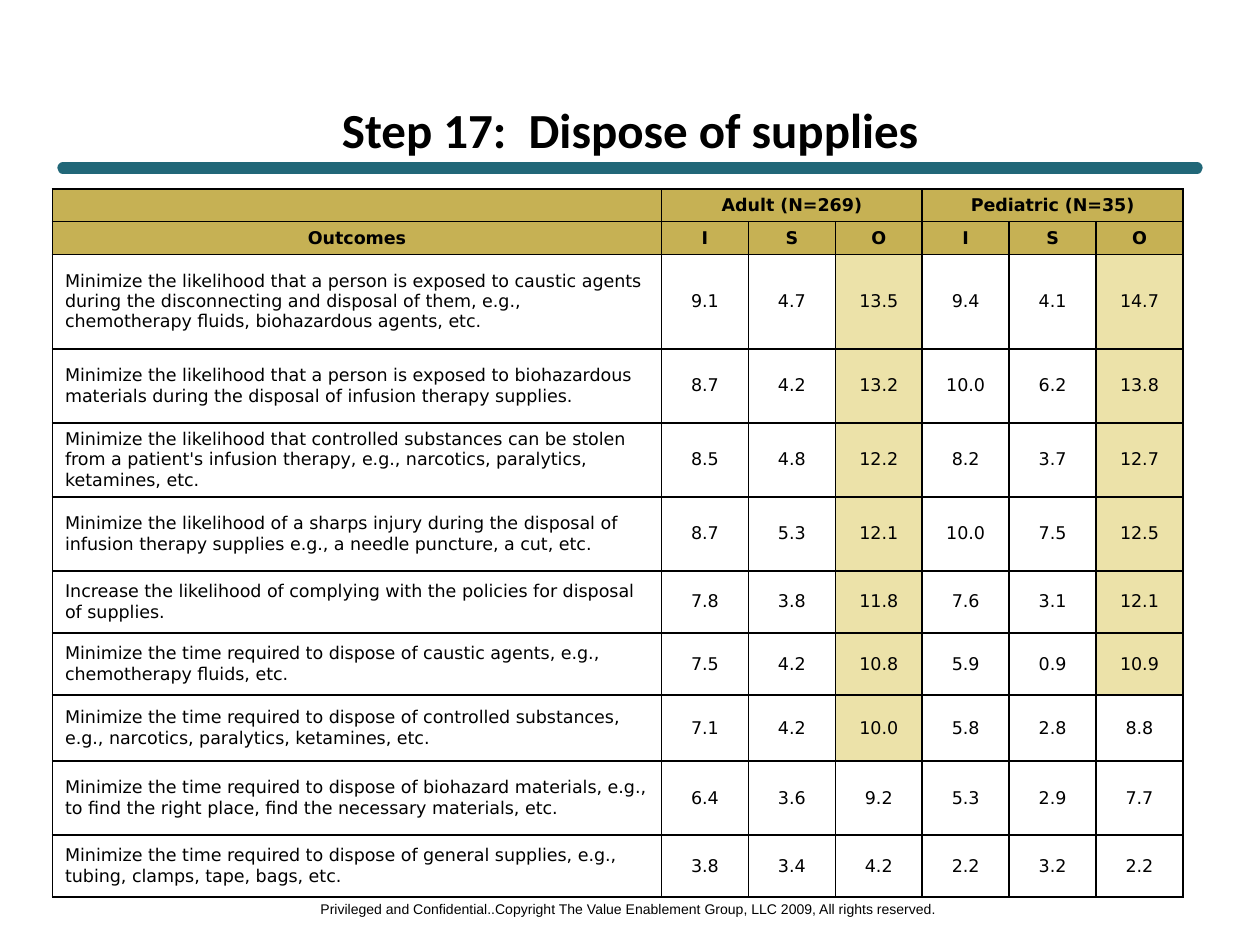
from dataclasses import dataclass
from lxml import etree
from pptx import Presentation
from pptx import oxml
from pptx import util as u
from pptx.dml.color import RGBColor
from pptx.enum import shapes, text
from pptx.oxml import ns


@dataclass(frozen=True)
class Theme:
    ink: str = "000000"
    rule: str = "216778"
    header: str = "C6B154"
    highlight: str = "ECE2A9"
    title_font: str = "Calibri"
    table_font: str = "DejaVu Sans"
    footer_font: str = "Arial"
    title_size: int = 28
    table_size: int = 10
    footer_size: int = 8
    rule_width: float = 6.5
    border_width: float = 1


THEME = Theme()
CENTER = text.PP_ALIGN.CENTER
LEFT = text.PP_ALIGN.LEFT
HIGHLIGHT_FROM = 10
OUTCOME_WIDTH = 348
SCORE_WIDTH = 49.68
HEADER_HEIGHT = 18.7
CELL_MARGIN = 2

GROUPS = ["Adult (N=269)", "Pediatric (N=35)"]
MEASURES = ["I", "S", "O"]
OUTCOMES = [
    (54, "Minimize the likelihood that a person is exposed to caustic agents during the disconnecting "
         "and disposal of them, e.g., chemotherapy fluids, biohazardous agents, etc.",
     [9.1, 4.7, 13.5, 9.4, 4.1, 14.7]),
    (42.3, "Minimize the likelihood that a person is exposed to biohazardous materials during the "
           "disposal of infusion therapy supplies.",
     [8.7, 4.2, 13.2, 10.0, 6.2, 13.8]),
    (42.3, "Minimize the likelihood that controlled substances can be stolen from a patient's infusion "
           "therapy, e.g., narcotics, paralytics, ketamines, etc.",
     [8.5, 4.8, 12.2, 8.2, 3.7, 12.7]),
    (42.3, "Minimize the likelihood of a sharps injury during the disposal of infusion therapy supplies "
           "e.g., a needle puncture, a cut, etc.",
     [8.7, 5.3, 12.1, 10.0, 7.5, 12.5]),
    (35.5, "Increase the likelihood of complying with the policies for disposal of supplies.",
     [7.8, 3.8, 11.8, 7.6, 3.1, 12.1]),
    (35.5, "Minimize the time required to dispose of caustic agents, e.g., chemotherapy fluids, etc.",
     [7.5, 4.2, 10.8, 5.9, 0.9, 10.9]),
    (37.7, "Minimize the time required to dispose of controlled substances, e.g., narcotics, paralytics, "
           "ketamines, etc.",
     [7.1, 4.2, 10.0, 5.8, 2.8, 8.8]),
    (42.3, "Minimize the time required to dispose of biohazard materials, e.g., to find the right place, "
           "find the necessary materials, etc.",
     [6.4, 3.6, 9.2, 5.3, 2.9, 7.7]),
    (35.5, "Minimize the time required to dispose of general supplies, e.g., tubing, clamps, tape, bags, etc.",
     [3.8, 3.4, 4.2, 2.2, 3.2, 2.2]),
]


def add_run(p, words, font, size, bold=False, align=CENTER):
    p.alignment = align
    r = p.add_run()
    r.text = words
    r.font.name = font
    r.font.size = u.Pt(size)
    r.font.bold = bold
    r.font.color.rgb = RGBColor.from_string(THEME.ink)


def set_title(s, words):
    sp = s.shapes.title
    sp.left, sp.top, sp.width, sp.height = u.Pt(36), u.Pt(60), u.Pt(648), u.Pt(27)
    tf = sp.text_frame
    tf.auto_size = text.MSO_AUTO_SIZE.NONE
    tf.vertical_anchor = text.MSO_ANCHOR.MIDDLE
    add_run(tf.paragraphs[0], words, THEME.title_font, THEME.title_size, bold=True)


def add_rule(s, left, right, y):
    sp = s.shapes.add_connector(shapes.MSO_CONNECTOR.STRAIGHT, u.Pt(left), u.Pt(y), u.Pt(right), u.Pt(y))
    sp.line.color.rgb = RGBColor.from_string(THEME.rule)
    sp.line.width = u.Pt(THEME.rule_width)
    sp.line._get_or_add_ln().set("cap", "rnd")
    etree.SubElement(sp._element.spPr, ns.qn("a:effectLst"))


def add_footer(s, words):
    sp = s.shapes.add_textbox(u.Pt(173.5), u.Pt(511), u.Pt(371.5), u.Pt(17))
    tf = sp.text_frame
    tf.word_wrap = False
    tf.auto_size = text.MSO_AUTO_SIZE.SHAPE_TO_FIT_TEXT
    add_run(tf.paragraphs[0], words, THEME.footer_font, THEME.footer_size)


def style_cell(cell, fill=None):
    cell.vertical_anchor = text.MSO_ANCHOR.MIDDLE
    cell.margin_top = cell.margin_bottom = u.Pt(CELL_MARGIN)
    tc_pr = cell._tc.get_or_add_tcPr()
    for side in ("lnL", "lnR", "lnT", "lnB"):
        tc_pr.append(oxml.parse_xml(
            f'<a:{side} {ns.nsdecls("a")} w="{u.Pt(THEME.border_width)}"><a:solidFill>'
            f'<a:srgbClr val="{THEME.ink}"/></a:solidFill></a:{side}>'))
    if fill:
        cell.fill.solid()
        cell.fill.fore_color.rgb = RGBColor.from_string(fill)
    else:
        cell.fill.background()
    end = cell.text_frame.paragraphs[0]._p.get_or_add_endParaRPr()
    end.set("sz", str(THEME.table_size * 100))


def write_cell(cell, words, bold=False, align=CENTER):
    add_run(cell.text_frame.paragraphs[0], words, THEME.table_font, THEME.table_size, bold, align)


def add_outcome_table(s):
    heights = [HEADER_HEIGHT] * 2 + [height for height, _, _ in OUTCOMES]
    widths = [OUTCOME_WIDTH] + [SCORE_WIDTH] * len(GROUPS) * len(MEASURES)
    frame = s.shapes.add_table(len(heights), len(widths), u.Pt(30), u.Pt(108),
                               u.Pt(sum(widths)), u.Pt(sum(heights)))
    table = frame.table
    table.first_row = table.horz_banding = False
    for row, height in zip(table.rows, heights):
        row.height = u.Pt(height)
    for col, width in zip(table.columns, widths):
        col.width = u.Pt(width)

    for i, group in enumerate(GROUPS):
        first = 1 + i * len(MEASURES)
        write_cell(table.cell(0, first), group, bold=True)
        table.cell(0, first).merge(table.cell(0, first + len(MEASURES) - 1))
    for col, label in enumerate(["Outcomes"] + MEASURES * len(GROUPS)):
        write_cell(table.cell(1, col), label, bold=True)
        for row in range(2):
            style_cell(table.cell(row, col), THEME.header)

    for row, (_, outcome, scores) in enumerate(OUTCOMES, start=2):
        write_cell(table.cell(row, 0), outcome, align=LEFT)
        style_cell(table.cell(row, 0))
        for col, score in enumerate(scores, start=1):
            is_opportunity = col % len(MEASURES) == 0
            write_cell(table.cell(row, col), f"{score:.1f}")
            style_cell(table.cell(row, col),
                       THEME.highlight if is_opportunity and score >= HIGHLIGHT_FROM else None)


def main():
    prs = Presentation()
    prs.slide_width, prs.slide_height = u.Pt(720), u.Pt(540)
    s = prs.slides.add_slide(prs.slide_layouts[5])
    add_rule(s, 36, 684, 96)
    add_footer(s, "Privileged and Confidential..Copyright The Value Enablement Group, LLC 2009, All rights reserved.")
    set_title(s, "Step 17:  Dispose of supplies")
    add_outcome_table(s)
    prs.save("out.pptx")


if __name__ == "__main__":
    main()
